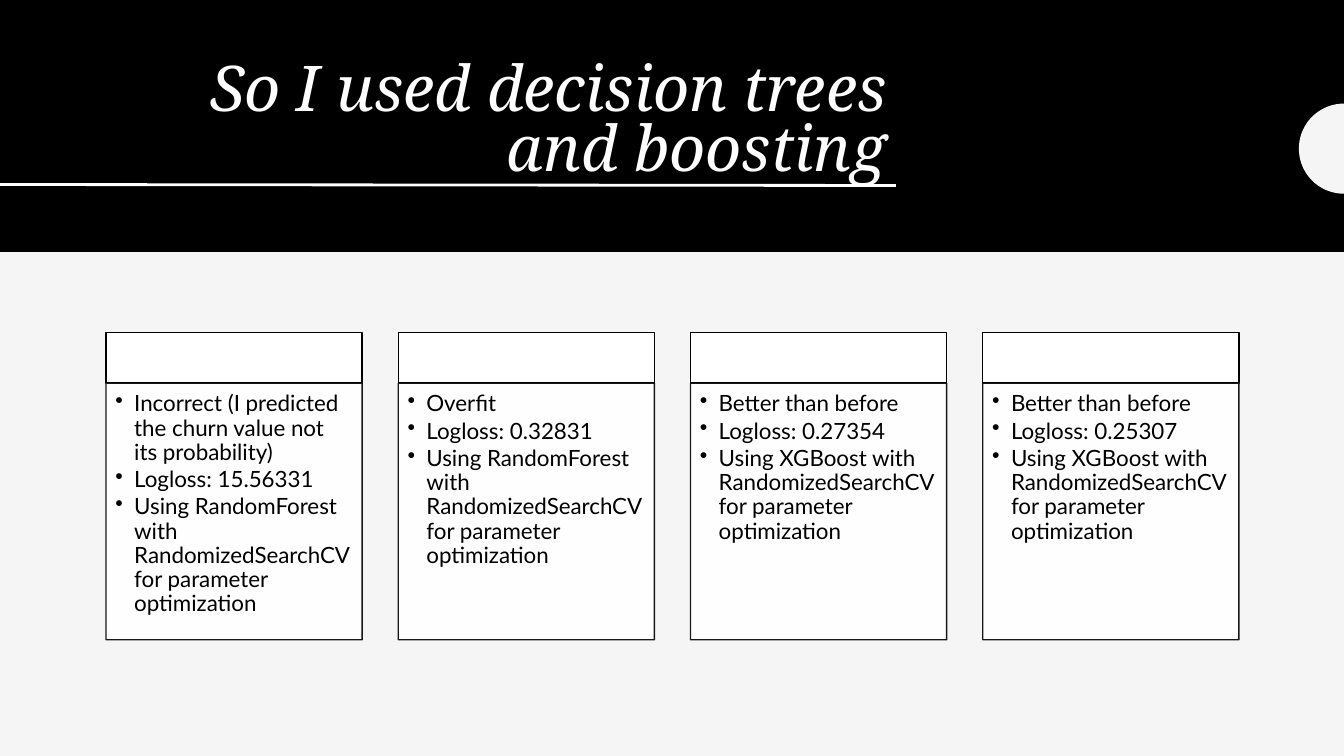
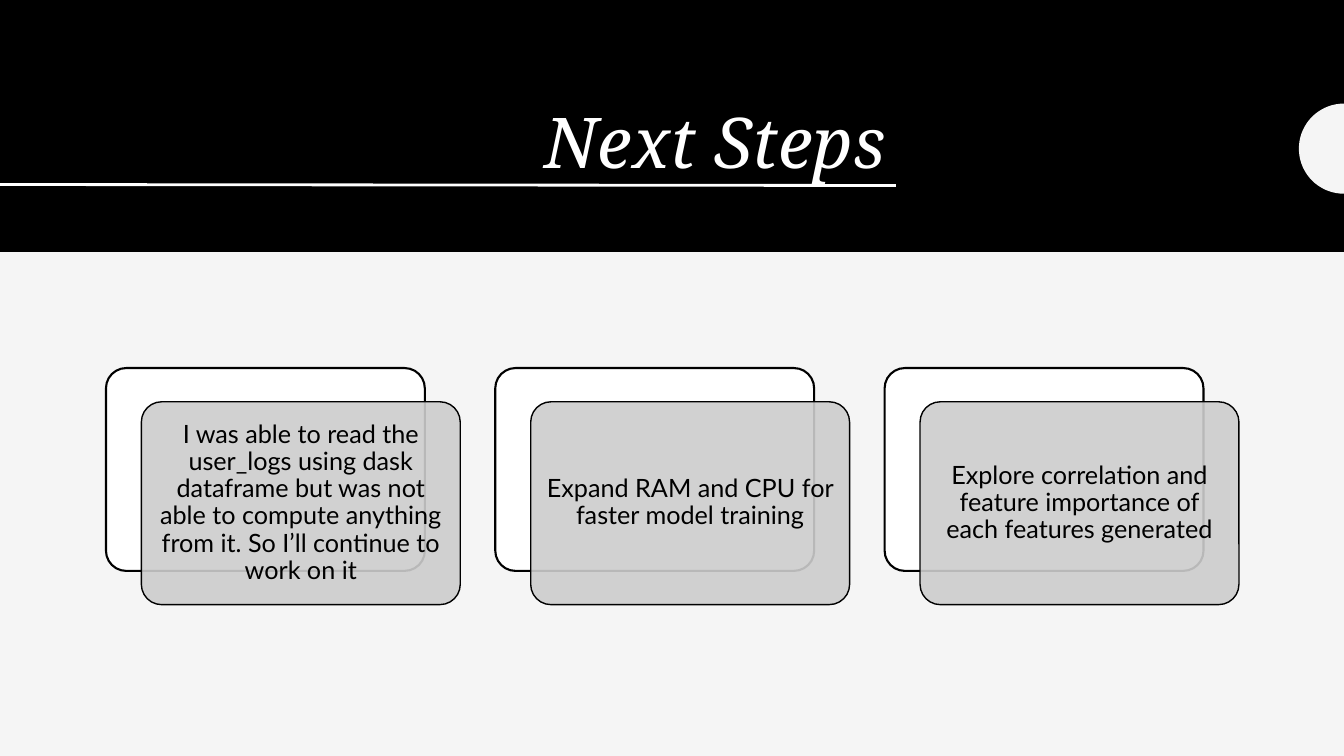
import math

from lxml import etree
from pptx import Presentation
from pptx.dml.color import RGBColor
from pptx.enum.shapes import MSO_CONNECTOR, MSO_SHAPE
from pptx.enum.text import MSO_ANCHOR, MSO_AUTO_SIZE, PP_ALIGN
from pptx.oxml.ns import qn
from pptx.util import Pt

RECTANGLE = MSO_SHAPE.RECTANGLE
ROUNDED = MSO_SHAPE.ROUNDED_RECTANGLE
STRAIGHT = MSO_CONNECTOR.STRAIGHT
TOP, MIDDLE, BOTTOM = MSO_ANCHOR.TOP, MSO_ANCHOR.MIDDLE, MSO_ANCHOR.BOTTOM
LEFT, CENTER, RIGHT = PP_ALIGN.LEFT, PP_ALIGN.CENTER, PP_ALIGN.RIGHT
NO_AUTOFIT = MSO_AUTO_SIZE.NONE

BLACK = RGBColor(0x00, 0x00, 0x00)
WHITE = RGBColor(0xFF, 0xFF, 0xFF)
PAPER = RGBColor(0xF5, 0xF5, 0xF5)
GREY = RGBColor(0xCC, 0xCC, 0xCC)
TITLE_FONT, BODY_FONT = "Noto Serif", "Lato"

SLIDE_WIDTH, SLIDE_HEIGHT = 960, 540
BAND_BOX = (0, 0, SLIDE_WIDTH, 180)
TITLE_BOX = (75.6, 33.8, 564.5, 97.2)
MODELS_BOX = (75.7, 237.5, 809.3, 219.5)
STEPS_BOX = (75.7, 262.9, 809.3, 169)

SEARCH = "Using {} with RandomizedSearchCV for parameter optimization"
MODELS = [
    ("Incorrect (I predicted the churn value not its probability)", "15.56331", "RandomForest"),
    ("Overfit", "0.32831", "RandomForest"),
    ("Better than before", "0.27354", "XGBoost"),
    ("Better than before", "0.25307", "XGBoost"),
]
STEPS = [
    "I was able to read the user_logs using dask dataframe but was not able to "
    "compute anything from it. So I\u2019ll continue to work on it",
    "Expand RAM and CPU for faster model training",
    "Explore correlation and feature importance of each features generated",
]


def add_box(slide, kind, box, fill, line_width=0):
    shape = slide.shapes.add_shape(kind, *map(Pt, box))
    shape.shadow.inherit = False
    shape.fill.solid()
    shape.fill.fore_color.rgb = fill
    if line_width:
        shape.line.color.rgb = BLACK
        shape.line.width = Pt(line_width)
    else:
        shape.line.fill.background()
    return shape


def set_opacity(shape, percent, *parts):
    for part in parts:
        for color in shape.element.spPr.xpath(f"{part}/a:srgbClr"):
            etree.SubElement(color, qn("a:alpha"), val=str(percent * 1000))


def set_frame(frame, anchor, left, top, right, bottom):
    frame.word_wrap = True
    frame.auto_size = NO_AUTOFIT
    frame.vertical_anchor = anchor
    frame.margin_left, frame.margin_top = Pt(left), Pt(top)
    frame.margin_right, frame.margin_bottom = Pt(right), Pt(bottom)


def add_text(paragraph, text, font, size, color, align, spacing=0.9):
    paragraph.alignment = align
    paragraph.line_spacing = spacing
    run = paragraph.add_run()
    run.text = text
    run.font.name = font
    run.font.size = Pt(size)
    run.font.color.rgb = color
    return run


def add_bullet(paragraph, indent):
    properties = paragraph._p.get_or_add_pPr()
    properties.set("marL", str(Pt(indent)))
    properties.set("indent", str(-Pt(indent)))
    etree.SubElement(properties, qn("a:buChar"), char="\u2022")


def draw_band(slide, box):
    left, top, width, height = box
    add_box(slide, RECTANGLE, box, BLACK)

    # Rule below the title
    rule = slide.shapes.add_connector(
        STRAIGHT, Pt(left), Pt(top + 131.8), Pt(left + 640), Pt(top + 132.5))
    rule.line.color.rgb = WHITE
    rule.line.width = Pt(2)
    etree.SubElement(rule.element.spPr, qn("a:effectLst"))

    # Half disc at the right edge
    radius, center_x, center_y = 32.2, left + width, top + 106.2
    angles = [math.radians(90 + 5 * step) for step in range(37)]
    points = [(Pt(center_x + radius * math.cos(angle)), Pt(center_y + radius * math.sin(angle)))
              for angle in angles]
    builder = slide.shapes.build_freeform(*points[0])
    builder.add_line_segments(points[1:], close=True)
    disc = builder.convert_to_shape()
    disc.shadow.inherit = False
    disc.fill.solid()
    disc.fill.fore_color.rgb = PAPER
    disc.line.fill.background()


def draw_title(slide, box, text, size, spacing):
    title = slide.shapes.title
    title.left, title.top, title.width, title.height = map(Pt, box)
    set_frame(title.text_frame, BOTTOM, 7.2, 0, 7.2, 0)
    run = add_text(title.text_frame.paragraphs[0], text, TITLE_FONT, size, WHITE, RIGHT, spacing)
    run.font.italic = True
    # Bring the title in front of the band
    title.element.getparent().append(title.element)


def add_titled_slide(presentation, title, size, spacing=0.9):
    slide = presentation.slides.add_slide(presentation.slide_layouts[5])
    slide.background.fill.solid()
    slide.background.fill.fore_color.rgb = PAPER
    draw_band(slide, BAND_BOX)
    draw_title(slide, TITLE_BOX, title, size, spacing)
    return slide


def draw_models(slide, box, models):
    left, top, width, height = box
    card_width, header_height = 183, 36.2
    pitch = (width - card_width) / (len(models) - 1)
    for index, (verdict, logloss, method) in enumerate(models):
        x = left + index * pitch
        add_box(slide, RECTANGLE, (x, top, card_width, header_height), WHITE, 1)
        body = add_box(slide, RECTANGLE,
                       (x, top + header_height, card_width, height - header_height), WHITE, 1)
        set_opacity(body, 90, "a:solidFill", "a:ln/a:solidFill")
        frame = body.text_frame
        set_frame(frame, TOP, 6.7, 6.7, 8.6, 10)
        lines = (verdict, f"Logloss: {logloss}", SEARCH.format(method))
        for number, line in enumerate(lines):
            paragraph = frame.add_paragraph() if number else frame.paragraphs[0]
            add_text(paragraph, line, BODY_FONT, 16, BLACK, LEFT)
            paragraph.space_after = Pt(2.3)
            add_bullet(paragraph, 13.5)


def draw_steps(slide, box, steps):
    left, top, width, height = box
    shift_x, shift_y, card_width = 25.3, 24.1, 227.8
    card_height = height - shift_y
    pitch = (width - shift_x - card_width) / (len(steps) - 1)
    for index, step in enumerate(steps):
        x = left + index * pitch
        back = add_box(slide, ROUNDED, (x, top, card_width, card_height), WHITE, 1.5)
        front = add_box(slide, ROUNDED,
                        (x + shift_x, top + shift_y, card_width, card_height), GREY, 1)
        for card in (back, front):
            card.adjustments[0] = 0.1
        set_opacity(front, 90, "a:solidFill")
        set_frame(front.text_frame, MIDDLE, 5.4, 5.4, 5.4, 5.4)
        add_text(front.text_frame.paragraphs[0], step, BODY_FONT, 18, BLACK, CENTER)


presentation = Presentation()
presentation.slide_width, presentation.slide_height = Pt(SLIDE_WIDTH), Pt(SLIDE_HEIGHT)

models_slide = add_titled_slide(presentation, "So I used decision trees and boosting", 45, 0.79)
draw_models(models_slide, MODELS_BOX, MODELS)

steps_slide = add_titled_slide(presentation, "Next Steps", 50)
draw_steps(steps_slide, STEPS_BOX, STEPS)

presentation.save("out.pptx")
